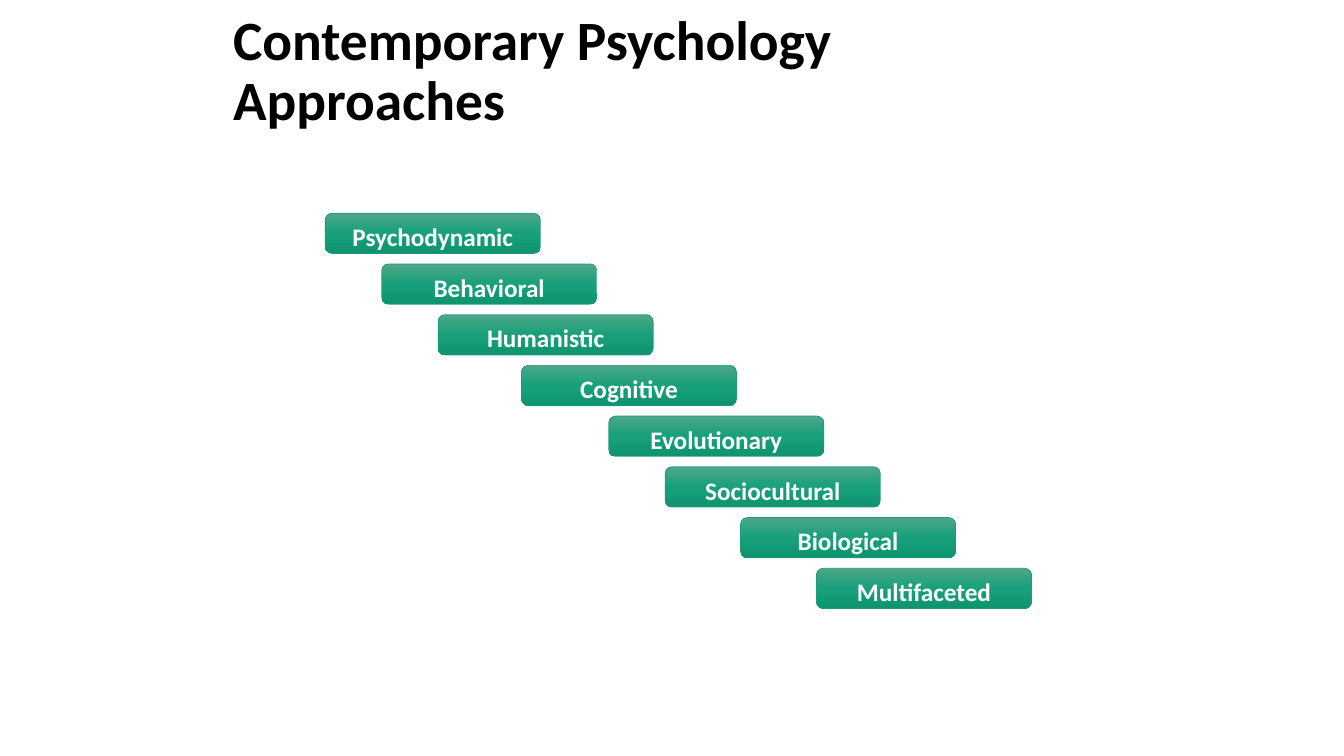
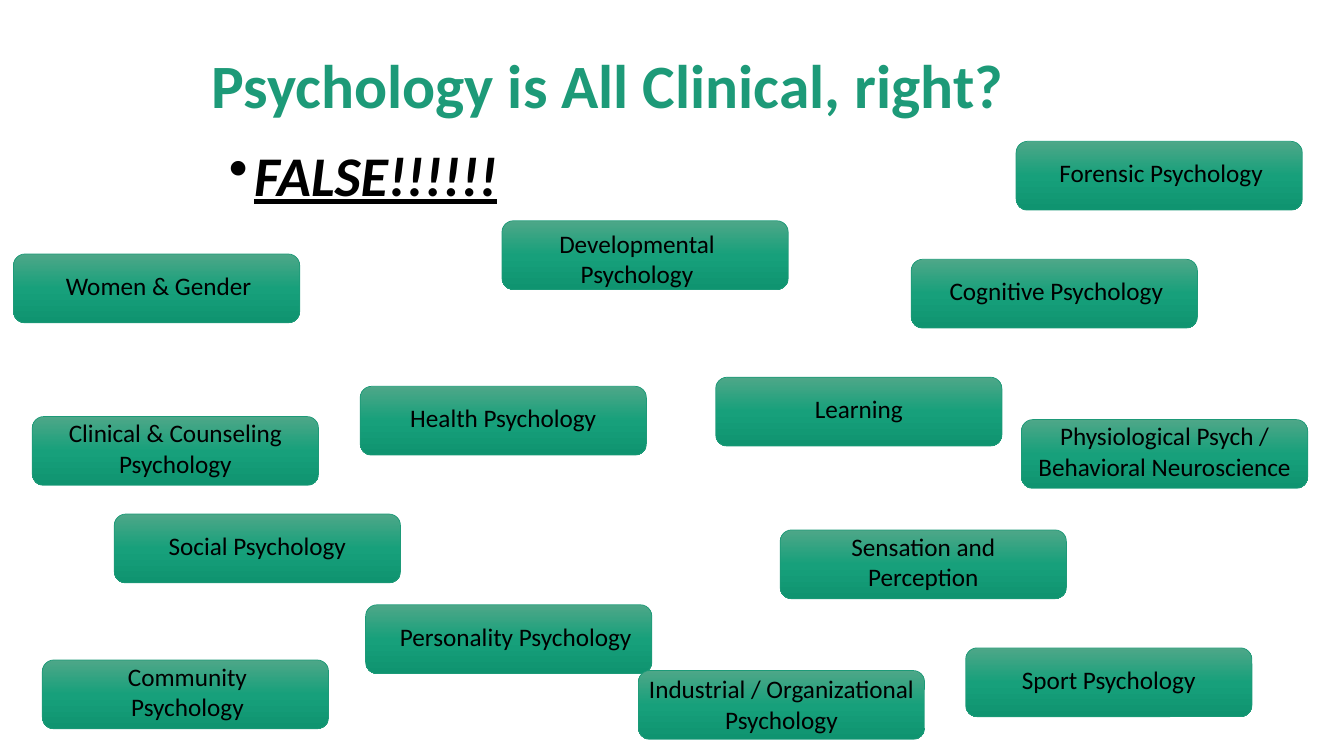
import copy
from dataclasses import dataclass

import lxml.etree
import pptx
import pptx.dml.color
import pptx.enum.shapes
import pptx.enum.text
import pptx.oxml.ns
import pptx.util

ALIGN = pptx.enum.text.PP_ALIGN
ANCHOR = pptx.enum.text.MSO_ANCHOR

SLIDE_WIDTH = pptx.util.Inches(13.333)
SLIDE_HEIGHT = pptx.util.Inches(7.5)
FONT = "Calibri"
COLORS = {
    "text": "000000",
    "light": "FFFFFF",
    "accent": "1D9A78",
    "top": "4EA788",
    "middle": "17A07B",
    "bottom": "0F9470",
}
CARD_GRADIENT = [(0, "top"), (0.5, "middle"), (1, "bottom")]


@dataclass(frozen=True)
class Area:
    """A rectangle in percent of the slide's width and height."""
    left: float
    top: float
    width: float
    height: float

    def lengths(self) -> list[int]:
        across, down = SLIDE_WIDTH / 100, SLIDE_HEIGHT / 100
        return [round(self.left * across), round(self.top * down),
                round(self.width * across), round(self.height * down)]


@dataclass(frozen=True)
class Card:
    """A labelled card; padding and label shifts are in inches."""
    label: str
    left: float
    top: float
    padding: float = 0.21
    shift_right: float = 0.0
    shift_down: float = -0.03


STEP_WIDTH, STEP_HEIGHT = 16, 5.33
STEP_TOP, STEP_PITCH = 28.2, 6.71
STEP_LEFTS = {
    "Psychodynamic": 24.2,
    "Behavioral": 28.4,
    "Humanistic": 32.6,
    "Cognitive": 38.8,
    "Evolutionary": 45.3,
    "Sociocultural": 49.5,
    "Biological": 55.1,
    "Multifaceted": 60.75,
}
APPROACHES = [
    Card(label, left, STEP_TOP + row * STEP_PITCH, padding=0.1, shift_down=0.03)
    for row, (label, left) in enumerate(STEP_LEFTS.items())
]

FIELD_WIDTH, FIELD_HEIGHT = 21.3, 9.1
FIELDS = [
    Card("Physiological Psych / Behavioral Neuroscience", 76, 55.5, padding=0.05),
    Card("Sensation and Perception", 58.05, 70.1),
    Card("Learning", 53.25, 49.9),
    Card("Cognitive Psychology", 67.8, 34.3, shift_right=0.02),
    Card("Developmental Psychology", 37.35, 29.2, shift_right=-0.08, shift_down=0.03),
    Card("Personality Psychology", 27.2, 80, shift_right=0.07),
    Card("Social Psychology", 8.5, 68),
    Card("Industrial / Organizational Psychology", 47.5, 88.7, padding=0.05,
         shift_down=-0.01),
    Card("Clinical & Counseling Psychology", 2.4, 55.1),
    Card("Health Psychology", 26.8, 51.1),
    Card("Forensic Psychology", 75.6, 18.7, shift_right=0.02),
    Card("Community Psychology", 3.15, 87.3, shift_right=0.02),
    Card("Sport Psychology", 71.85, 85.7),
    Card("Women & Gender", 1, 33.6, shift_right=0.02),
]


def rgb(name: str) -> pptx.dml.color.RGBColor:
    return pptx.dml.color.RGBColor.from_string(COLORS[name])


def add_bullet(para) -> None:
    properties = para._p.get_or_add_pPr()
    indent = pptx.util.Inches(0.25)
    properties.set("marL", str(indent))
    properties.set("indent", str(-indent))
    bullet = lxml.etree.SubElement(properties, pptx.oxml.ns.qn("a:buChar"))
    bullet.set("char", "•")


def write_text(shape, text: str, *, size: float, color: str = "text",
               bold: bool = False, italic: bool = False, underline: bool = False,
               align=ALIGN.LEFT, anchor=ANCHOR.MIDDLE,
               line_spacing: float = 1.0, bullet: bool = False) -> None:
    frame = shape.text_frame
    frame.word_wrap = True
    frame.vertical_anchor = anchor
    para = frame.paragraphs[0]
    para.alignment = align
    para.line_spacing = line_spacing
    if bullet:
        add_bullet(para)
    span = para.add_run()
    span.text = text
    font = span.font
    font.name, font.size = FONT, pptx.util.Pt(size)
    font.bold, font.italic, font.underline = bold, italic, underline
    font.color.rgb = rgb(color)


def add_text(page, area: Area, text: str, **text_format) -> None:
    box = page.shapes.add_textbox(*area.lengths())
    write_text(box, text, line_spacing=0.9, **text_format)


def add_title(page, area: Area, text: str, *, size: float, color: str) -> None:
    add_text(page, area, text, size=size, color=color, bold=True)


def fill_gradient(shape) -> None:
    """Shade the shape from top to bottom."""
    shape.fill.gradient()
    shape.fill.gradient_angle = 270
    stop_list = shape._element.spPr.find(".//" + pptx.oxml.ns.qn("a:gsLst"))
    stop_list.append(copy.deepcopy(stop_list[-1]))
    for stop, (position, color) in zip(shape.fill.gradient_stops, CARD_GRADIENT):
        stop.position = position
        stop.color.rgb = rgb(color)


def add_card(page, card: Card, width: float, height: float, *,
             color: str, bold: bool = False) -> None:
    area = Area(card.left, card.top, width, height)
    shape = page.shapes.add_shape(
        pptx.enum.shapes.MSO_SHAPE.ROUNDED_RECTANGLE, *area.lengths())
    shape.shadow.inherit = False
    fill_gradient(shape)
    shape.line.color.rgb = rgb("accent")
    shape.line.width = pptx.util.Pt(0.5)
    frame = shape.text_frame
    frame.margin_left = pptx.util.Inches(card.padding + card.shift_right)
    frame.margin_right = pptx.util.Inches(card.padding - card.shift_right)
    frame.margin_top = pptx.util.Inches(max(0, 2 * card.shift_down))
    frame.margin_bottom = pptx.util.Inches(max(0, -2 * card.shift_down))
    write_text(shape, card.label, size=18, color=color, bold=bold, align=ALIGN.CENTER)


def build_approaches(page) -> None:
    add_title(page, Area(16.6, 4, 66, 11.2), "Contemporary Psychology Approaches",
              size=39.6, color="text")
    for card in APPROACHES:
        add_card(page, card, STEP_WIDTH, STEP_HEIGHT, color="light", bold=True)


def build_fields(page) -> None:
    add_title(page, Area(15, 3.33, 67.5, 16.67), "Psychology is All Clinical, right?",
              size=44, color="accent")
    add_text(page, Area(16.3, 18.9, 67.5, 76.7), "FALSE!!!!!!", size=40, bold=True,
             italic=True, underline=True, anchor=ANCHOR.TOP, bullet=True)
    for card in FIELDS:
        add_card(page, card, FIELD_WIDTH, FIELD_HEIGHT, color="text")


def main() -> None:
    deck = pptx.Presentation()
    deck.slide_width, deck.slide_height = SLIDE_WIDTH, SLIDE_HEIGHT
    blank = deck.slide_layouts[6]
    for build in (build_approaches, build_fields):
        build(deck.slides.add_slide(blank))
    deck.save("out.pptx")


if __name__ == "__main__":
    main()
